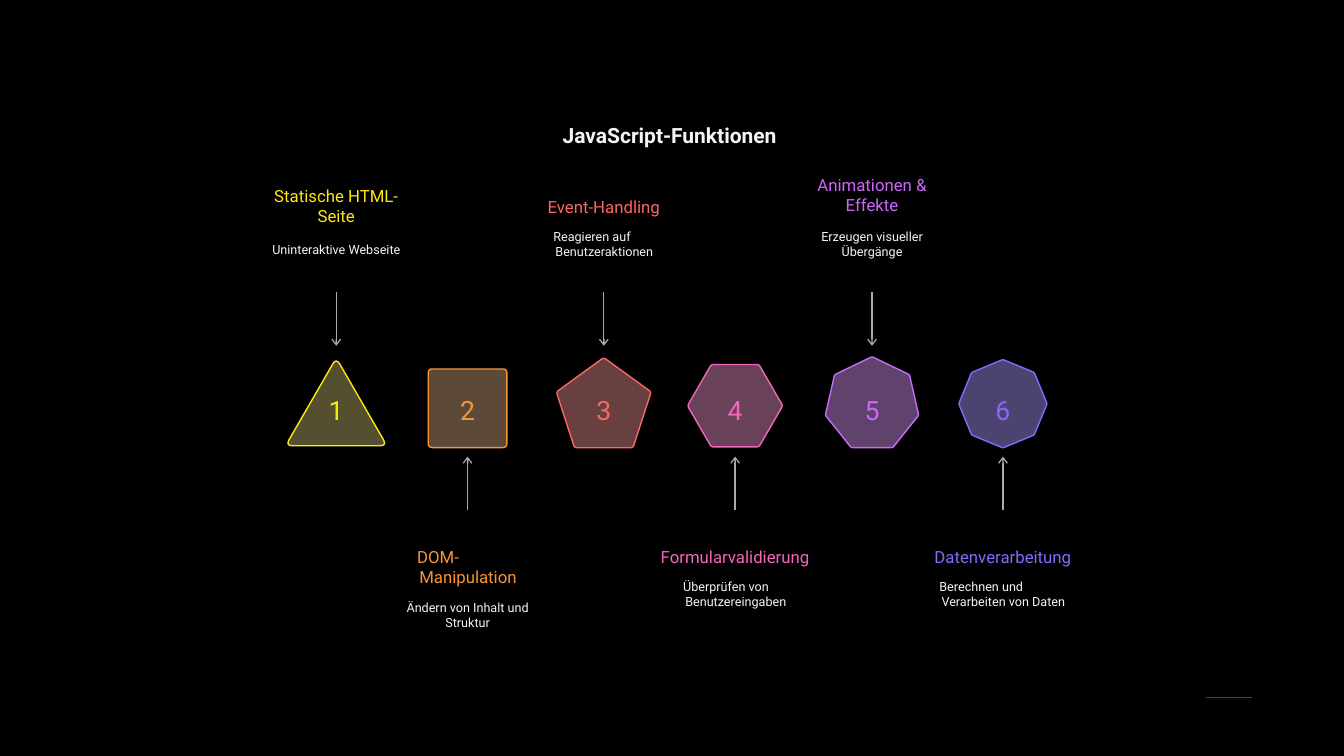
"""Build the slide on JavaScript functions: six numbered polygons with labels."""
from dataclasses import dataclass
from math import cos, dist, pi, sin

from lxml import etree
from pptx import Presentation
from pptx.dml.color import RGBColor
from pptx.enum.shapes import MSO_CONNECTOR
from pptx.enum.text import PP_ALIGN
from pptx.oxml.ns import qn
from pptx.util import Pt

STRAIGHT = MSO_CONNECTOR.STRAIGHT
CENTER, LEFT = PP_ALIGN.CENTER, PP_ALIGN.LEFT
FONT = "Roboto"
HANG = 1.5
NUMBER_TOP = 281.5
ARROW_DOWN = (208.8, 247)
ARROW_UP = (364.3, 326.2)
COLORS = {
    "background": "000000",
    "text": "F4F4F4",
    "arrow": "ABABAB",
    "rule": "543E34",
    "yellow": "FFE711",
    "yellow_fill": "54502F",
    "orange": "F79438",
    "orange_fill": "5C4938",
    "red": "FB6762",
    "red_fill": "68403F",
    "pink": "F366BB",
    "pink_fill": "69425A",
    "purple": "CB68F9",
    "purple_fill": "60436D",
    "violet": "8769FD",
    "violet_fill": "4C4371",
}


@dataclass(frozen=True)
class Label:
    text: str
    top: float
    width: float
    align: PP_ALIGN = CENTER


@dataclass(frozen=True)
class Step:
    color: str
    sides: int
    start: float
    x: float
    y: float
    radius: float
    corner: float
    heading: Label
    detail: Label


STEPS = [
    Step("yellow", 3, -90, 240.2, 297.5, 41.8, 5,
         Label("Statische HTML-\nSeite", 132.5, 90.7),
         Label("Uninteraktive Webseite", 172.8, 94.3)),
    Step("orange", 4, -45, 334, 291.6, 39.7, 2.9,
         Label("DOM-\nManipulation", 390.2, 72, LEFT),
         Label("Ändern von Inhalt und\nStruktur", 428.4, 90)),
    Step("red", 5, -90, 431.3, 291, 35.6, 1.8,
         Label("Event-Handling", 140.4, 82.8),
         Label("Reagieren auf\nBenutzeraktionen", 163.4, 72, LEFT)),
    Step("pink", 6, 0, 525.1, 289.8, 34, 1.8,
         Label("Formularvalidierung", 390.2, 110.2),
         Label("Überprüfen von\nBenutzereingaben", 413.3, 74.2, LEFT)),
    Step("purple", 7, -90, 622.9, 289, 34.2, 1.2,
         Label("Animationen &\nEffekte", 124.6, 79.9),
         Label("Erzeugen visueller\nÜbergänge", 163.4, 74.2)),
    Step("violet", 8, -90, 716.4, 288.4, 31.6, 1.2,
         Label("Datenverarbeitung", 390.2, 100.8),
         Label("Berechnen und\nVerarbeiten von Daten", 413.3, 90.7, LEFT)),
]


def rgb(name: str) -> RGBColor:
    return RGBColor.from_string(COLORS[name])


def add_text(s, label: Label, x: float, size: float, color: str, bold: bool = False) -> None:
    lines = label.text.split("\n")
    height = size * 1.2 * len(lines)
    box = s.shapes.add_textbox(Pt(x - label.width / 2), Pt(label.top), Pt(label.width), Pt(height))
    tf = box.text_frame
    tf.word_wrap = False
    tf.margin_left = tf.margin_right = tf.margin_top = tf.margin_bottom = 0
    p = tf.paragraphs[0]
    p.alignment = label.align
    if label.align == LEFT:
        properties = p._p.get_or_add_pPr()
        properties.set("marL", str(Pt(HANG)))
        properties.set("indent", str(-Pt(HANG)))
    for i, line in enumerate(lines):
        if i:
            p.add_line_break()
        r = p.add_run()
        r.text = line
        r.font.name = FONT
        r.font.size = Pt(size)
        r.font.bold = bold
        r.font.color.rgb = rgb(color)


def rounded_polygon(step: Step) -> list[tuple[float, float]]:
    angles = [step.start * pi / 180 + 2 * pi * i / step.sides for i in range(step.sides)]
    corners = [(step.x + step.radius * cos(a), step.y + step.radius * sin(a)) for a in angles]
    share = step.corner / dist(corners[0], corners[1])
    points = []
    for i, (x, y) in enumerate(corners):
        before, after = corners[i - 1], corners[(i + 1) % step.sides]
        for t in (0, 0.25, 0.5, 0.75, 1):
            back, ahead = share * (1 - t) ** 2, share * t ** 2
            points.append((x + back * (before[0] - x) + ahead * (after[0] - x),
                           y + back * (before[1] - y) + ahead * (after[1] - y)))
    return points


def add_polygon(s, step: Step) -> None:
    points = [(Pt(x), Pt(y)) for x, y in rounded_polygon(step)]
    builder = s.shapes.build_freeform(*points[0])
    builder.add_line_segments(points[1:], close=True)
    sp = builder.convert_to_shape()
    sp.shadow.inherit = False
    sp.fill.solid()
    sp.fill.fore_color.rgb = rgb(f"{step.color}_fill")
    sp.line.color.rgb = rgb(step.color)
    sp.line.width = Pt(0.98)


def add_line(s, x1: float, y1: float, x2: float, y2: float, color: str, width: float,
             arrow: bool = False) -> None:
    line = s.shapes.add_connector(STRAIGHT, Pt(x1), Pt(y1), Pt(x2), Pt(y2))
    line.line.color.rgb = rgb(color)
    line.line.width = Pt(width)
    properties = line._element.spPr
    if arrow:
        etree.SubElement(properties.find(qn("a:ln")), qn("a:tailEnd"),
                         type="arrow", w="med", len="sm")
    etree.SubElement(properties, qn("a:effectLst"))


def main() -> None:
    prs = Presentation()
    prs.slide_width, prs.slide_height = Pt(960), Pt(540)
    s = prs.slides.add_slide(prs.slide_layouts[6])
    s.background.fill.solid()
    s.background.fill.fore_color.rgb = rgb("background")

    add_line(s, 861.1, 498.2, 894.2, 498.2, "rule", 1.25)
    add_text(s, Label("JavaScript-Funktionen", 87.8, 156.2), 478.4, 15, "text", bold=True)
    for number, step in enumerate(STEPS, 1):
        start, end = ARROW_DOWN if number % 2 else ARROW_UP
        add_polygon(s, step)
        add_line(s, step.x, start, step.x, end, "arrow", 0.98, arrow=True)
        add_text(s, Label(str(number), NUMBER_TOP, 10.8), step.x, 19, step.color)
        add_text(s, step.heading, step.x, 12, step.color)
        add_text(s, step.detail, step.x, 9, "text")

    prs.save("out.pptx")


if __name__ == "__main__":
    main()
